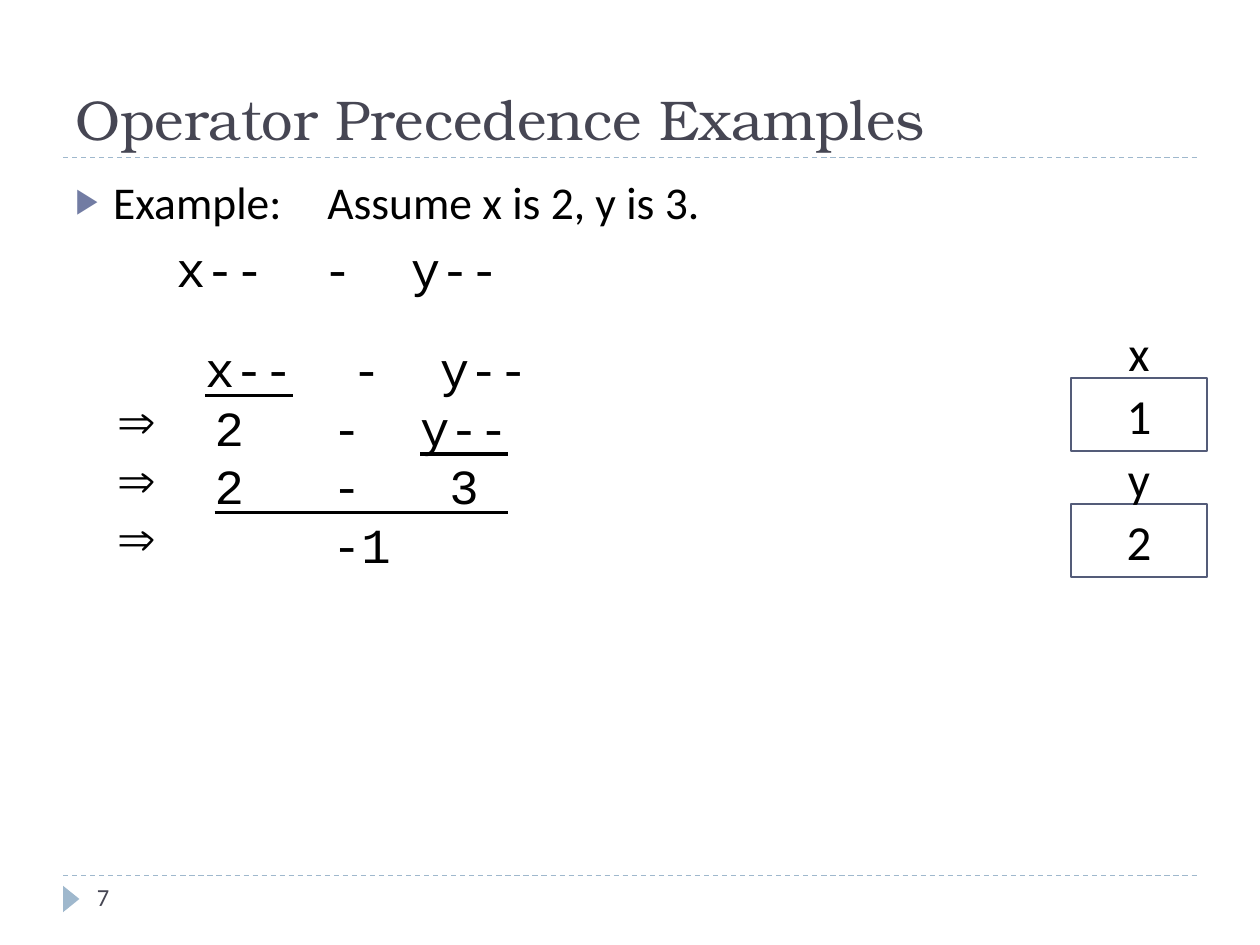
from dataclasses import dataclass

import pptx
import pptx.dml.color
import pptx.enum.dml
import pptx.enum.shapes
import pptx.enum.text
import pptx.oxml
import pptx.oxml.ns
import pptx.util
from pptx.util import Inches, Pt

COLORS = {
    "text": "000000",
    "heading": "464653",
    "rule": "9FB8CD",
    "bullet": "727CA3",
    "border": "545C79",
}
ANCHOR = pptx.enum.text.MSO_ANCHOR
SHAPE = pptx.enum.shapes.MSO_SHAPE


@dataclass
class Variable:
    name: str
    value: str
    top: float


@dataclass
class Step:
    """One evaluation line: the code before, in and after the underline."""
    before: str
    underlined: str = ""
    after: str = ""
    arrow: bool = True


VARIABLES = [Variable("x", "1", 3), Variable("y", "2", 4)]
STEPS = [
    Step("   ", "x--", "  -  y--", arrow=False),
    Step("  2   -  ", "y--"),
    Step("  ", "2   -   3 "),
    Step("      -1"),
]


def rgb(name: str) -> pptx.dml.color.RGBColor:
    return pptx.dml.color.RGBColor.from_string(COLORS[name])


def style(font, size: float, face: str = "Calibri", color: str = "text") -> None:
    font.size = Pt(size)
    font.name = face
    font.color.rgb = rgb(color)


def add_box(slide, left: float, top: float, width: float, height: float,
            anchor=ANCHOR.TOP):
    frame = slide.shapes.add_textbox(
        Inches(left), Inches(top), Inches(width), Inches(height)).text_frame
    frame.word_wrap = True
    frame.vertical_anchor = anchor
    return frame


def add_bullet(paragraph, char: str, face: str, extra: str = "") -> None:
    properties = paragraph._p.get_or_add_pPr()
    ns = pptx.oxml.ns.nsdecls("a")
    for tag in (extra, f'<a:buFont {ns} typeface="{face}"/>',
                f'<a:buChar {ns} char="{char}"/>'):
        if tag:
            properties.append(pptx.oxml.parse_xml(tag))


def hang(paragraph, indent: float) -> None:
    properties = paragraph._p.get_or_add_pPr()
    properties.set("marL", str(Inches(indent)))
    properties.set("indent", str(-Inches(indent)))


def add_rule(slide, top: float) -> None:
    rule = slide.shapes.add_connector(
        pptx.enum.shapes.MSO_CONNECTOR.STRAIGHT,
        Inches(0.5), Inches(top), Inches(9.5), Inches(top))
    rule.line.color.rgb = rgb("rule")
    rule.line.width = Pt(0.75)
    rule.line.dash_style = pptx.enum.dml.MSO_LINE.DASH
    rule._element.spPr.append(pptx.oxml.parse_xml(
        f'<a:effectLst {pptx.oxml.ns.nsdecls("a")}/>'))


def add_label(frame, text: str, size: float, color: str = "text",
              face: str = "Calibri", centered: bool = False) -> None:
    frame.text = text
    paragraph = frame.paragraphs[0]
    if centered:
        paragraph.alignment = pptx.enum.text.PP_ALIGN.CENTER
    style(paragraph.runs[0].font, size, face, color)


def add_assumption(slide) -> None:
    frame = add_box(slide, 0.5, 1.33, 9, 5.4)
    assumption = frame.paragraphs[0]
    assumption.text = "Example:\tAssume x is 2, y is 3."
    hang(assumption, 0.3)
    ns = pptx.oxml.ns.nsdecls("a")
    add_bullet(assumption, "▶", "Arial",
               f'<a:buClr {ns}><a:srgbClr val="{COLORS["bullet"]}"/></a:buClr>')
    properties = assumption._p.pPr
    properties.insert(1, pptx.oxml.parse_xml(f'<a:buSzPct {ns} val="76000"/>'))
    style(assumption.runs[0].font, 26)

    expression = frame.add_paragraph()
    expression.text = "\t\tx--  -  y--"
    hang(expression, 0.3)
    expression.space_before = Pt(6)
    style(expression.runs[0].font, 28, "Courier New")


def add_steps(slide) -> None:
    frame = add_box(slide, 0.83, 2.58, 3.67, 2.08, ANCHOR.MIDDLE)
    for index, step in enumerate(STEPS):
        line = frame.add_paragraph() if index else frame.paragraphs[0]
        line.line_spacing = Pt(33.5)
        if step.arrow:
            hang(line, 0.28)
            add_bullet(line, "⇒", "Symbol")
        for code in (step.before, step.underlined, step.after):
            if code:
                run = line.add_run()
                run.text = code
                style(run.font, 28, "Courier New")
                run.font.underline = code == step.underlined


def add_variable(slide, variable: Variable) -> None:
    cell = slide.shapes.add_shape(
        SHAPE.RECTANGLE, Inches(8.5), Inches(variable.top),
        Inches(1.08), Inches(0.58))
    cell.shadow.inherit = False
    cell.fill.background()
    cell.line.color.rgb = rgb("border")
    cell.line.width = Pt(1.5)
    cell.text_frame.vertical_anchor = ANCHOR.MIDDLE
    add_label(cell.text_frame, variable.value, 28, centered=True)
    name = add_box(slide, 8.5, variable.top - 0.5, 1.08, 0.58, ANCHOR.MIDDLE)
    add_label(name, variable.name, 28, centered=True)


def main() -> None:
    deck = pptx.Presentation()
    deck.slide_width, deck.slide_height = Inches(10), Inches(7.5)
    slide = deck.slides.add_slide(deck.slide_layouts[6])

    for top in (6.95, 1.25):
        add_rule(slide, top)
    marker = slide.shapes.add_shape(
        SHAPE.ISOSCELES_TRIANGLE,
        Inches(0.46), Inches(7.07), Inches(0.21), Inches(0.13))
    marker.rotation = 90
    marker.shadow.inherit = False
    marker.fill.solid()
    marker.fill.fore_color.rgb = rgb("rule")
    marker.line.fill.background()

    title = add_box(slide, 0.5, 0.17, 9, 1.08, ANCHOR.BOTTOM)
    add_label(title, "Operator Precedence Examples", 32, "heading",
              "TeX Gyre Bonum")
    add_assumption(slide)
    add_steps(slide)
    for variable in VARIABLES:
        add_variable(slide, variable)
    add_label(add_box(slide, 0.67, 6.95, 2.17, 0.4), "7", 14, "heading")

    deck.save("out.pptx")


if __name__ == "__main__":
    main()
